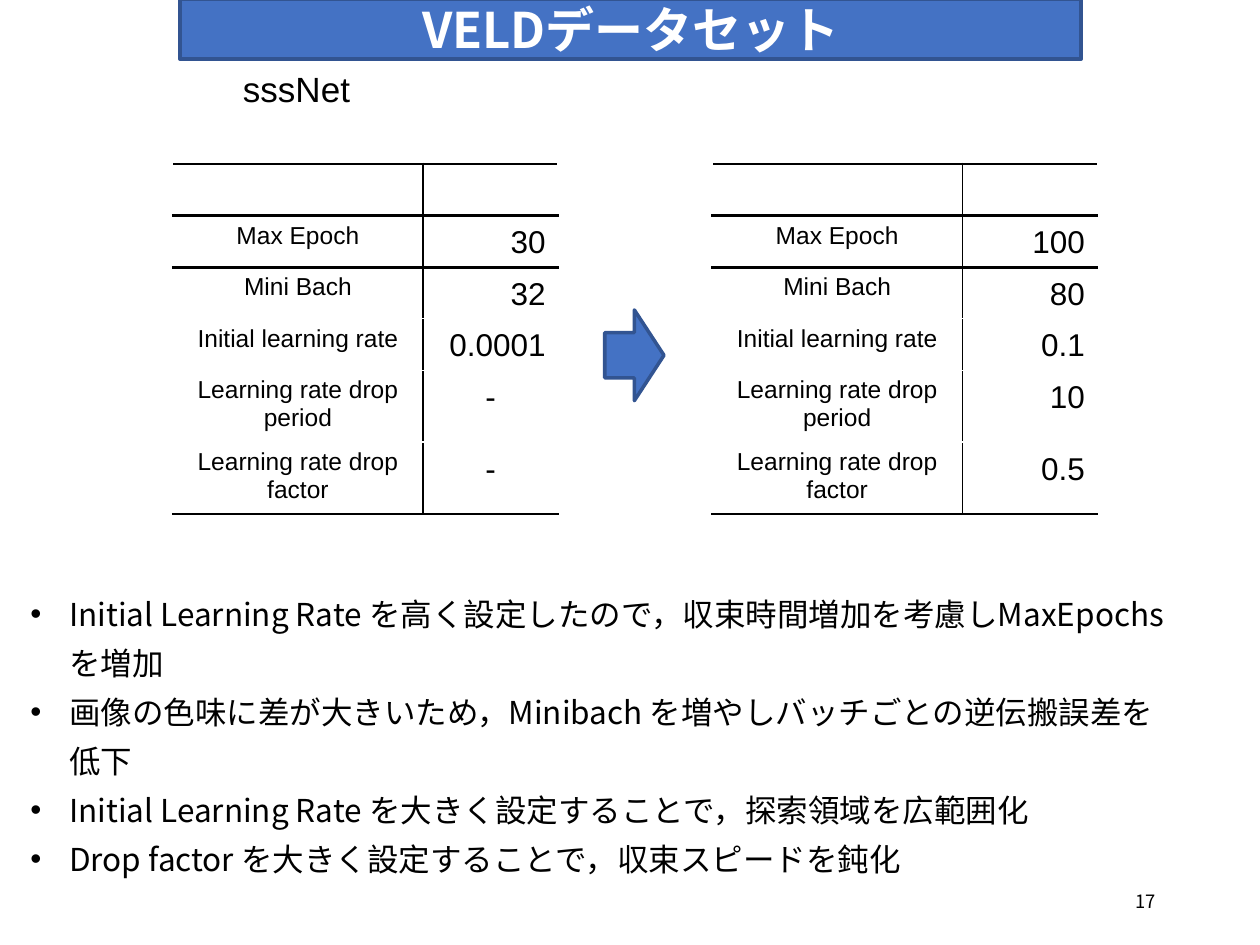
from lxml import etree
from pptx import Presentation, util as u
from pptx.dml.color import RGBColor
from pptx.enum import shapes, text
from pptx.oxml.ns import qn

BLACK, WHITE, BLUE, NAVY = "000000", "FFFFFF", "4472C4", "325491"
LATIN, JAPANESE = "Arial", "Noto Sans CJK JP"
ALIGN = text.PP_ALIGN
LABELS = ["", "Max Epoch", "Mini Bach", "Initial learning rate",
          "Learning rate drop period", "Learning rate drop factor"]
BEFORE = ["", "30", "32", "0.0001", "-", "-"]
AFTER = ["", "100", "80", "0.1", "10", "0.5"]
ROW_HEIGHTS = [0.41] * 4 + [0.57] * 2
RULES = {0: 1.5, 1: 2, 2: 2, len(LABELS): 1.5}
POINTS = [
    "Initial Learning Rate を高く設定したので，収束時間増加を考慮しMaxEpochs を増加",
    "画像の色味に差が大きいため，Minibach を増やしバッチごとの逆伝搬誤差を低下",
    "Initial Learning Rate を大きく設定することで，探索領域を広範囲化",
    "Drop factor を大きく設定することで，収束スピードを鈍化",
]


def color(value):
    """Turn a hex string into a colour."""
    return RGBColor.from_string(value)


def place(shape, box):
    """Move a shape to a box of left, top, width and height in inches."""
    shape.left, shape.top, shape.width, shape.height = map(u.Inches, box)


def style(para, size, face, ink=BLACK, bold=False, align=ALIGN.LEFT):
    """Align a paragraph and format its runs."""
    para.alignment = align
    for span in para.runs:
        font = span.font
        font.size, font.bold, font.name = u.Pt(size), bold, face
        font.color.rgb = color(ink)
        etree.SubElement(span._r.get_or_add_rPr(), qn("a:ea"), typeface=face)


def paint(shape):
    """Give a shape the blue fill and navy outline."""
    shape.shadow.inherit = False
    shape.fill.solid()
    shape.fill.fore_color.rgb = color(BLUE)
    shape.line.color.rgb = color(NAVY)
    shape.line.width = u.Pt(2)


def add_title(page, box, words):
    """Turn the title placeholder into a banner."""
    title = page.shapes.title
    place(title, box)
    paint(title)
    frame = title.text_frame
    frame.text = words
    frame.auto_size = text.MSO_AUTO_SIZE.NONE
    frame.vertical_anchor = text.MSO_ANCHOR.MIDDLE
    style(frame.paragraphs[0], 28, JAPANESE, WHITE, True, ALIGN.CENTER)


def add_label(page, box, words, size, face, align=ALIGN.LEFT,
              anchor=text.MSO_ANCHOR.TOP):
    """Add a one-line text box."""
    label = page.shapes.add_textbox(*map(u.Inches, box))
    frame = label.text_frame
    frame.text = words
    frame.word_wrap = align != ALIGN.LEFT
    frame.vertical_anchor = anchor
    style(frame.paragraphs[0], size, face, align=align)


def set_borders(cell, borders):
    """Draw cell borders given as side, colour and width in points."""
    properties = cell._tc.get_or_add_tcPr()
    for place_in_order, (side, ink, width) in enumerate(borders):
        line = etree.Element(qn(f"a:ln{side}"), w=str(u.Pt(width)))
        fill = etree.SubElement(line, qn("a:solidFill"))
        etree.SubElement(fill, qn("a:srgbClr"), val=ink)
        properties.insert(place_in_order, line)


def add_parameters(page, box, values):
    """Add a ruled table of training parameters."""
    frame = page.shapes.add_table(len(LABELS), 2, *map(u.Inches, box))
    table = frame.table
    table.first_row = table.horz_banding = False
    for column, share in zip(table.columns, (0.65, 0.35)):
        column.width = u.Inches(box[2] * share)
    for row, height in enumerate(ROW_HEIGHTS):
        table.rows[row].height = u.Inches(height)
        for column, words in enumerate((LABELS[row], values[row])):
            cell = table.cell(row, column)
            cell.text = words
            cell.fill.background()
            para = cell.text_frame.paragraphs[0]
            if column:
                para.line_spacing = u.Pt(22)
                align = ALIGN.CENTER if words == "-" else ALIGN.RIGHT
                style(para, 18, LATIN, align=align)
            else:
                style(para, 14, LATIN, align=ALIGN.CENTER)
            sides = [("L", BLACK if column else WHITE, 1),
                     ("R", WHITE if column else BLACK, 1)]
            rules = [(side, BLACK if edge in RULES else WHITE, RULES.get(edge, 1))
                     for side, edge in (("T", row), ("B", row + 1))]
            set_borders(cell, sides + rules)


def add_arrow(page, box):
    """Add the arrow that leads from one table to the other."""
    arrow = page.shapes.add_shape(shapes.MSO_SHAPE.RIGHT_ARROW, *map(u.Inches, box))
    paint(arrow)


def add_points(page, box, points):
    """Fill the body placeholder with a bulleted list."""
    body = page.placeholders[1]
    place(body, box)
    frame = body.text_frame
    frame.text = "\n".join(points)
    frame.auto_size = text.MSO_AUTO_SIZE.NONE
    for para in frame.paragraphs:
        properties = para._p.get_or_add_pPr()
        properties.set("marL", str(u.Inches(0.31)))
        properties.set("indent", str(-u.Inches(0.31)))
        etree.SubElement(properties, qn("a:buFont"), typeface=LATIN)
        etree.SubElement(properties, qn("a:buChar"), char="•")
        para.space_before = u.Pt(0)
        para.line_spacing = u.Pt(28)
        style(para, 18, JAPANESE)


def main():
    """Build and save the deck."""
    deck = Presentation()
    deck.slide_width, deck.slide_height = u.Inches(10), u.Inches(7.5)
    page = deck.slides.add_slide(deck.slide_layouts[1])
    add_title(page, (1.43, -0.01, 7.15, 0.48), "VELDデータセット")
    add_label(page, (1.83, 0.49, 1.06, 0.44), "sssNet", 20, LATIN)
    for left, values in ((1.37, BEFORE), (5.65, AFTER)):
        add_parameters(page, (left, 1.3, 3.06, sum(ROW_HEIGHTS)), values)
    add_arrow(page, (4.8, 2.46, 0.47, 0.72))
    add_points(page, (0.14, 4.58, 9.32, 2.43), POINTS)
    add_label(page, (7.02, 6.95, 2.25, 0.4), "17", 10.5, JAPANESE,
              ALIGN.RIGHT, text.MSO_ANCHOR.MIDDLE)
    deck.save("out.pptx")


if __name__ == "__main__":
    main()
